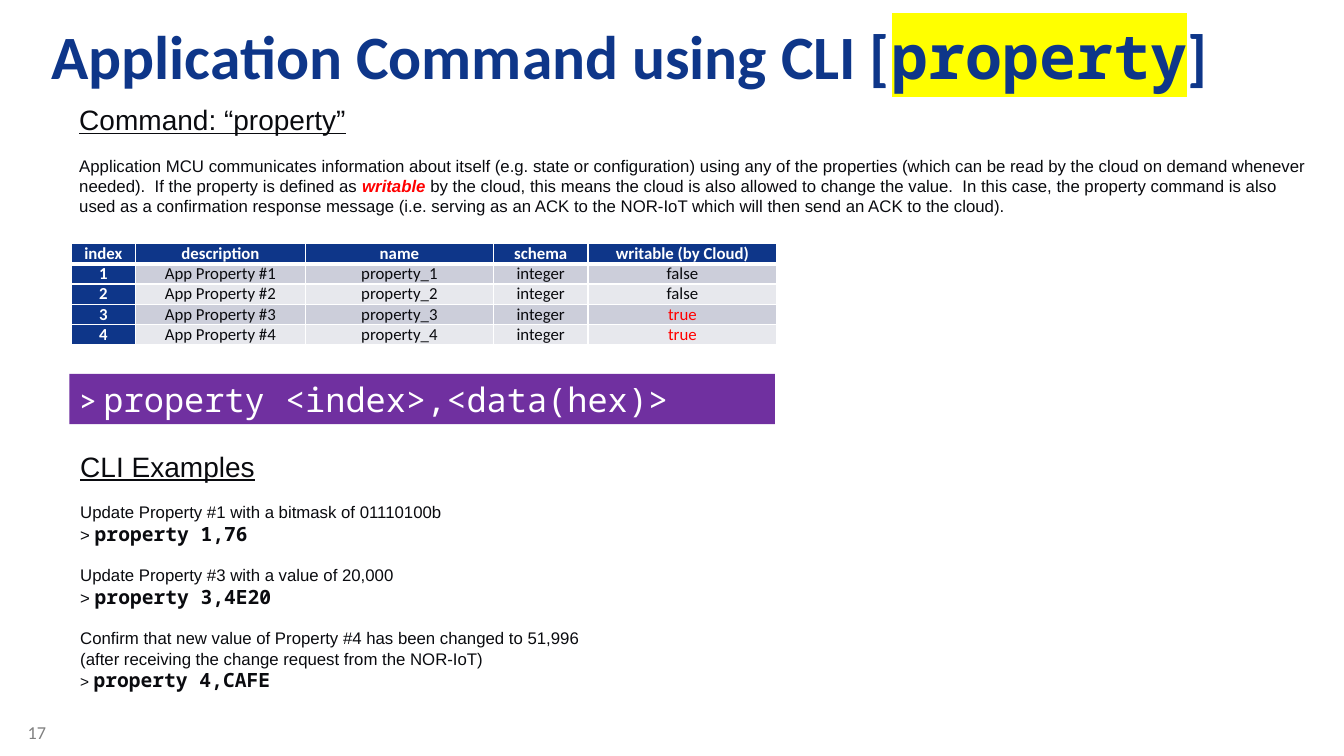
"""Build the slide that explains the CLI property command."""
from dataclasses import dataclass
from typing import Any, Optional

from lxml.etree import SubElement
from pptx import Presentation
from pptx.dml.color import RGBColor
from pptx.enum.shapes import MSO_SHAPE as Shape
from pptx.enum.text import MSO_ANCHOR as Anchor, MSO_AUTO_SIZE as AutoSize, PP_ALIGN as Align
from pptx.oxml import parse_xml
from pptx.oxml.ns import nsdecls, qn
from pptx.util import Pt

PX = 9525


@dataclass(frozen=True)
class Theme:
    navy: str = "0E3689"
    ink: str = "0A0B0F"
    white: str = "FFFFFF"
    red: str = "FF0000"
    grey: str = "808080"
    purple: str = "7030A0"
    yellow: str = "FFFF00"
    bands: tuple[str, str] = ("CCCEDA", "E7E8ED")
    sans: str = "Arial"
    label: str = "Calibri"
    mono: str = "Noto Sans Mono"
    title: int = 44
    syntax: int = 24
    heading: int = 20
    code: int = 14
    number: int = 13
    body: int = 12
    prompt: int = 11


T = Theme()


@dataclass(frozen=True)
class Style:
    face: Optional[str] = None
    size: Optional[int] = None
    color: Optional[str] = None
    bold: Optional[bool] = None
    italic: Optional[bool] = None
    underline: Optional[bool] = None
    highlight: Optional[str] = None


@dataclass(frozen=True)
class Run:
    text: str
    style: Style = Style()


@dataclass(frozen=True)
class Para:
    style: Style
    runs: tuple[Run, ...]
    before: float = 0
    align: Align = Align.LEFT


@dataclass(frozen=True)
class Box:
    x: int
    y: int
    w: int
    h: int

    def emu(self) -> tuple[int, int, int, int]:
        return self.x * PX, self.y * PX, self.w * PX, self.h * PX


@dataclass(frozen=True)
class Example:
    text: str
    command: str
    prompt: int = T.body


GAP = 13.8
HEADING = Style(T.sans, T.heading, T.ink, underline=True)
BODY = Style(T.sans, T.body, T.ink)
HEAD_CELL = Style(T.label, T.body, T.white, bold=True)
CELL = Style(T.label, T.body, T.ink, bold=False)

COLUMNS = (61, 162, 179, 90, 180)
HEADERS = ("index", "description", "name", "schema", "writable (by Cloud)")
WRITABLE = ("false", "false", "true", "true")
EXAMPLES = (
    Example("Update Property #1 with a bitmask of 01110100b", "property 1,76"),
    Example("Update Property #3 with a value of 20,000", "property 3,4E20"),
    Example("Confirm that new value of Property #4 has been changed to 51,996 "
            "(after receiving the change request from the NOR-IoT)", "property 4,CAFE", T.prompt),
)
TITLE = Para(Style(T.label, T.title, T.navy, bold=True), (
    Run("Application Command using CLI ["),
    Run("property", Style(T.mono, highlight=T.yellow)),
    Run("]"),
))
INTRO = (
    Para(HEADING, (Run("Command: “property”"),)),
    Para(BODY, (
        Run("Application MCU communicates information about itself (e.g. state or configuration) "
            "using any of the properties (which can be read by the cloud on demand whenever "
            "needed).  If the property is defined as "),
        Run("writable", Style(color=T.red, bold=True, italic=True)),
        Run(" by the cloud, this means the cloud is also allowed to change the value.  In this "
            "case, the property command is also used as a confirmation response message (i.e. "
            "serving as an ACK to the NOR-IoT which will then send an ACK to the cloud)."),
    ), GAP),
)
SYNTAX = Para(Style(T.label, T.syntax, T.white), (
    Run("> "), Run("property <index>,<data(hex)>", Style(T.mono))))
NUMBER = Para(Style(T.label, T.number, T.grey), (Run("17"),))


def set_font(font: Any, style: Style) -> None:
    """Apply the given parts of a style to a font."""
    if style.face:
        font.name = style.face
    if style.size:
        font.size = Pt(style.size)
    if style.color:
        font.color.rgb = RGBColor.from_string(style.color)
    for key in ("bold", "italic", "underline"):
        if getattr(style, key) is not None:
            setattr(font, key, getattr(style, key))


def write(tf: Any, *paras: Para) -> None:
    """Fill a text frame with paragraphs."""
    for i, para in enumerate(paras):
        p = tf.paragraphs[0] if i == 0 else tf.add_paragraph()
        p.alignment = para.align
        p.space_before = Pt(para.before)
        set_font(p.font, para.style)
        for run in para.runs:
            r = p.add_run()
            r.text = run.text
            set_font(r.font, run.style)
            if run.style.highlight:
                r.font._element.find(qn("a:latin")).addprevious(parse_xml(
                    f'<a:highlight {nsdecls("a")}><a:srgbClr val="{run.style.highlight}"/></a:highlight>'))


def add_text(s: Any, box: Box, *paras: Para) -> None:
    """Add a wrapping text box."""
    tf = s.shapes.add_textbox(*box.emu()).text_frame
    tf.word_wrap = True
    write(tf, *paras)


def add_title(s: Any, box: Box, para: Para) -> None:
    """Move and fill the title placeholder."""
    sp = s.shapes.title
    sp.left, sp.top, sp.width, sp.height = box.emu()
    tf = sp.text_frame
    tf.auto_size, tf.vertical_anchor = AutoSize.NONE, Anchor.MIDDLE
    tf.margin_left = tf.margin_right = 12 * PX
    tf.margin_top = tf.margin_bottom = 7 * PX
    write(tf, para)


def add_bar(s: Any, box: Box, para: Para) -> None:
    """Add the filled bar with the command syntax."""
    sp = s.shapes.add_shape(Shape.RECTANGLE, *box.emu())
    sp.shadow.inherit = False
    sp.fill.solid()
    sp.fill.fore_color.rgb = RGBColor.from_string(T.purple)
    sp.line.fill.background()
    sp.text_frame.vertical_anchor = Anchor.TOP
    write(sp.text_frame, para)


def fill_cell(cell: Any, text: str, style: Style, fill: str, bottom: int) -> None:
    """Write one table cell with its white borders and fill."""
    cell.margin_left = cell.margin_right = 7 * PX
    cell.margin_top = cell.margin_bottom = 0
    tc_pr = cell._tc.get_or_add_tcPr()
    for side, width in (("L", 1), ("R", 1), ("T", 1), ("B", bottom)):
        ln = SubElement(tc_pr, qn(f"a:ln{side}"), w=str(Pt(width)))
        SubElement(SubElement(ln, qn("a:solidFill")), qn("a:srgbClr"), val=T.white)
    cell.fill.solid()
    cell.fill.fore_color.rgb = RGBColor.from_string(fill)
    write(cell.text_frame, Para(style, (Run(text),), align=Align.CENTER))


def add_properties(s: Any, box: Box) -> None:
    """Add the table of properties."""
    rows = [HEADERS] + [(str(i), f"App Property #{i}", f"property_{i}", "integer", flag)
                        for i, flag in enumerate(WRITABLE, 1)]
    table = s.shapes.add_table(len(rows), len(COLUMNS), *box.emu()).table
    table.first_col, table.horz_banding = True, False
    for column, width in zip(table.columns, COLUMNS):
        column.width = width * PX
    for i, row in enumerate(rows):
        for j, text in enumerate(row):
            head = i == 0 or j == 0
            style = HEAD_CELL if head else CELL
            if text == "true":
                style = Style(T.label, T.body, T.red, bold=False)
            fill = T.navy if head else T.bands[(i - 1) % 2]
            fill_cell(table.cell(i, j), text, style, fill, 3 if i == 0 else 1)


def main() -> None:
    """Build and save the slide."""
    prs = Presentation()
    prs.slide_width, prs.slide_height = 1280 * PX, 720 * PX
    s = prs.slides.add_slide(prs.slide_layouts[5])
    add_text(s, Box(17, 682, 57, 38), NUMBER)
    add_title(s, Box(37, 11, 1197, 82), TITLE)
    add_properties(s, Box(68, 232, 672, 95))
    add_bar(s, Box(66, 356, 672, 48), SYNTAX)
    examples = [Para(HEADING, (Run("CLI Examples"),))]
    for ex in EXAMPLES:
        command = Run(ex.command, Style(T.mono, T.code, bold=True))
        examples += [Para(BODY, (Run(ex.text),), GAP),
                     Para(BODY, (Run("> ", Style(size=ex.prompt)), command))]
    add_text(s, Box(67, 423, 507, 253), *examples)
    add_text(s, Box(66, 93, 1190, 158), *INTRO)
    prs.save("out.pptx")


if __name__ == "__main__":
    main()
